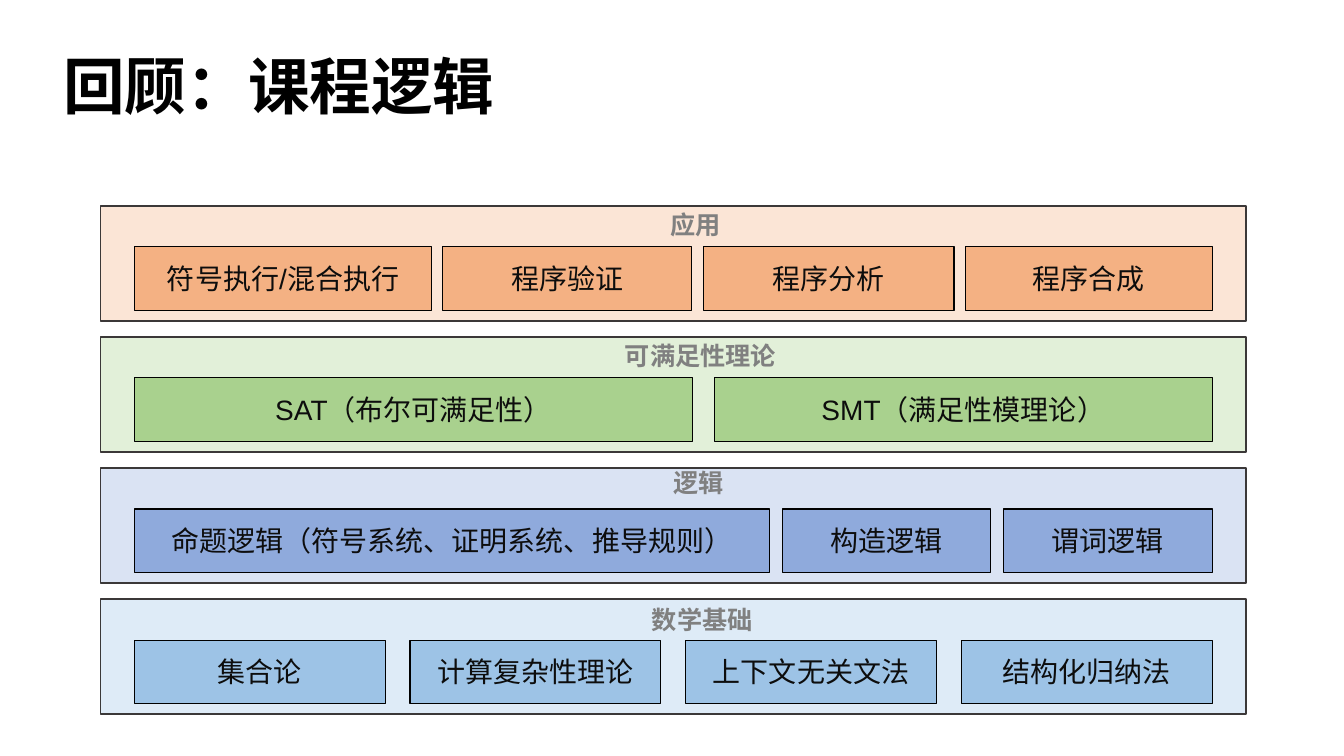
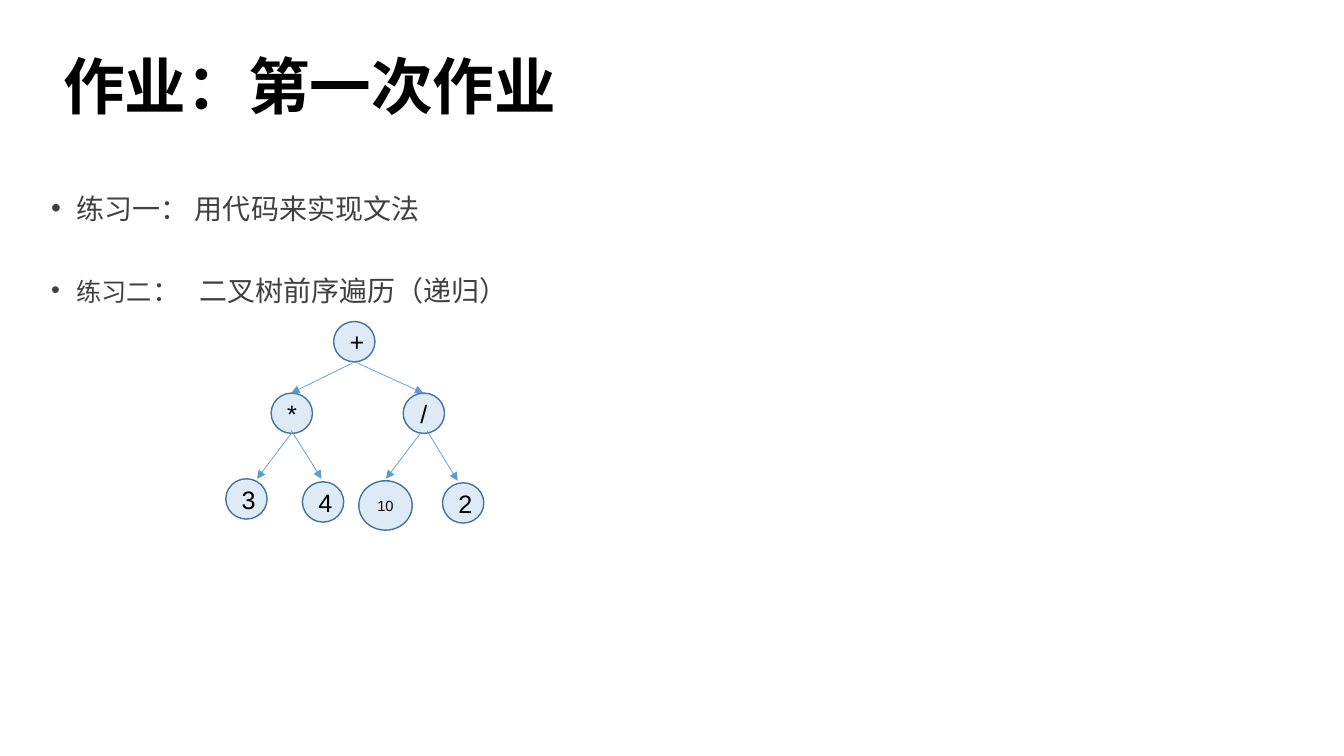
from lxml import etree
from pptx import Presentation
from pptx.dml.color import RGBColor
from pptx.enum import shapes, text
from pptx.oxml import ns
from pptx.util import Emu, Inches, Pt

# The slide is 40 columns wide; rows are as high as columns are wide
SLIDE_WIDTH, SLIDE_HEIGHT = Inches(13.333), Inches(7.5)
CELL = SLIDE_WIDTH / 40

COLORS = {
    "title": "000000", "body": "404040", "box_text": "0D0D0D", "label": "808080",
    "box_line": "000000", "band_line": "3B3838",
    "orange_band": "FBE5D6", "orange_box": "F4B183",
    "green_band": "E2F0D9", "green_box": "A9D18E",
    "indigo_band": "DAE3F3", "indigo_box": "8FAADC",
    "blue_band": "DEEBF7", "blue_box": "9DC3E6",
    "node_line": "43739E", "node_text": "000000", "edge": "5B9BD5",
}

# Font formats: name, size, weight and colour
FORMATS = {
    "title": {"name": "Montserrat", "size": Pt(44), "bold": True, "color": "title"},
    "label": {"name": "Arial", "size": Pt(18), "bold": True, "color": "label"},
    "box": {"name": "Arial", "size": Pt(20), "color": "box_text"},
    "node": {"name": "Arial", "size": Pt(18), "color": "node_text"},
    "small_node": {"name": "Arial", "size": Pt(10.5), "color": "node_text"},
    "exercise": {"name": "Noto Sans CJK SC", "size": Pt(20), "color": "body"},
    "exercise_small": {"name": "Arial", "size": Pt(18), "color": "body"},
    "exercise_text": {"name": "Arial", "size": Pt(20), "color": "body"},
}

# Layer diagram, in cells
BAND_LEFT, BAND_TOP, BAND_WIDTH, BAND_HEIGHT, BAND_PITCH = 3, 6.13, 34.08, 3.42, 3.9
BOX_LEFT, BOX_SPAN, BOX_OFFSET, BOX_HEIGHT = 4, 32.08, 1.22, 1.88

# Each layer: tint, label, label left, label shift, label width, boxes with widths
LAYERS = [
    ("orange", "应用", 19.65, -0.04, 5.52,
     [("符号执行/混合执行", 8.85), ("程序验证", 7.41), ("程序分析", 7.47), ("程序合成", 7.35)]),
    ("green", "可满足性理论", 18.3, -0.04, 5.52,
     [("SAT（布尔可满足性）", 16.62), ("SMT（满足性模理论）", 14.82)]),
    ("indigo", "逻辑", 19.74, -0.16, 2.25,
     [("命题逻辑（符号系统、证明系统、推导规则）", 18.9), ("构造逻辑", 6.21), ("谓词逻辑", 6.21)]),
    ("blue", "数学基础", 19.11, 0, 3.87,
     [("集合论", 7.47), ("计算复杂性理论", 7.47), ("上下文无关文法", 7.47), ("结构化归纳法", 7.47)]),
]

# Expression tree, in cells
NODE_SIZE, LARGE_NODE_SIZE = (1.23, 1.2), (1.59, 1.47)
NODES = [
    ("+", 9.93, 9.57), ("*", 8.07, 11.7), ("/", 12, 11.7),
    ("3", 6.72, 14.25), ("4", 9, 14.34), ("2", 13.17, 14.37),
]
EDGES = [
    (10.56, 10.77, 8.67, 11.7), (10.56, 10.77, 12.6, 11.7),
    (8.67, 12.9, 7.65, 14.25), (8.67, 12.81, 9.57, 14.25),
    (12.51, 12.9, 11.49, 14.25), (12.72, 12.84, 13.62, 14.31),
]


def cells(*values):
    return [Emu(round(value * CELL)) for value in values]


def rgb(name):
    return RGBColor.from_string(COLORS[name])


def add_run(paragraph, words, style):
    run = paragraph.add_run()
    run.text = words
    for attribute, value in FORMATS[style].items():
        if attribute == "color":
            run.font.color.rgb = rgb(value)
        else:
            setattr(run.font, attribute, value)


def add_text_box(slide, area):
    frame = slide.shapes.add_textbox(*cells(*area)).text_frame
    frame.word_wrap = True
    return frame


def add_title(slide, words):
    frame = add_text_box(slide, (1.59, 0.5, 34.5, 4.35))
    frame.vertical_anchor = text.MSO_ANCHOR.MIDDLE
    paragraph = frame.paragraphs[0]
    paragraph.line_spacing = 0.9
    add_run(paragraph, words, "title")


def add_panel(slide, kind, area, fill, line, width, words="", style="box"):
    shape = slide.shapes.add_shape(kind, *cells(*area))
    shape.shadow.inherit = False
    shape.fill.solid()
    shape.fill.fore_color.rgb = rgb(fill)
    shape.line.color.rgb = rgb(line)
    shape.line.width = Pt(width)
    if words:
        frame = shape.text_frame
        frame.vertical_anchor = text.MSO_ANCHOR.MIDDLE
        frame.paragraphs[0].alignment = text.PP_ALIGN.CENTER
        add_run(frame.paragraphs[0], words, style)


def add_layer(slide, top, layer):
    tint, label, label_left, label_shift, label_width, boxes = layer
    rectangle = shapes.MSO_SHAPE.RECTANGLE
    add_panel(slide, rectangle, (BAND_LEFT, top, BAND_WIDTH, BAND_HEIGHT),
              tint + "_band", "band_line", 1)
    # Boxes share what is left of the span as equal gaps
    gap = (BOX_SPAN - sum(width for _, width in boxes)) / (len(boxes) - 1)
    left = BOX_LEFT
    for words, width in boxes:
        add_panel(slide, rectangle, (left, top + BOX_OFFSET, width, BOX_HEIGHT),
                  tint + "_box", "box_line", 0.75, words)
        left += width + gap
    frame = add_text_box(slide, (label_left, top + label_shift, label_width, 1.23))
    add_run(frame.paragraphs[0], label, "label")


def add_node(slide, words, left, top, size=NODE_SIZE, style="node"):
    add_panel(slide, shapes.MSO_SHAPE.OVAL, (left, top, *size),
              "blue_band", "node_line", 1, words, style)


def add_arrow(slide, ends):
    arrow = slide.shapes.add_connector(shapes.MSO_CONNECTOR.STRAIGHT, *cells(*ends))
    arrow.line.color.rgb = rgb("edge")
    arrow.line.width = Pt(0.5)
    etree.SubElement(arrow.line._get_or_add_ln(), ns.qn("a:tailEnd"), type="triangle")
    etree.SubElement(arrow._element.spPr, ns.qn("a:effectLst"))


def add_bullet(paragraph, runs, tab=None):
    paragraph.line_spacing = 0.9
    for words, style in runs:
        add_run(paragraph, words, style)
    properties = paragraph._p.get_or_add_pPr()
    properties.set("marL", str(Inches(0.25)))
    properties.set("indent", str(-Inches(0.25)))
    etree.SubElement(properties, ns.qn("a:buFont"), typeface="Arial")
    etree.SubElement(properties, ns.qn("a:buChar"), char="•")
    if tab:
        stops = etree.SubElement(properties, ns.qn("a:tabLst"))
        etree.SubElement(stops, ns.qn("a:tab"), pos=str(cells(tab)[0]), algn="l")


def add_exercises(slide):
    frame = add_text_box(slide, (1.23, 5.65, 34.5, 4))
    first, second = frame.paragraphs[0], frame.add_paragraph()
    first.space_after = Pt(37)
    add_bullet(first, [("练习一： ", "exercise"), ("用代码来实现文法", "exercise_text")])
    add_bullet(second, [("练习二", "exercise_small"),
                        ("：\t二叉树前序遍历（递归）", "exercise_text")], tab=4.4)


def build_review(slide):
    add_title(slide, "回顾：课程逻辑")
    for row, layer in enumerate(LAYERS):
        add_layer(slide, BAND_TOP + row * BAND_PITCH, layer)


def build_homework(slide):
    add_title(slide, "作业：第一次作业")
    add_exercises(slide)
    for node in NODES:
        add_node(slide, *node)
    add_node(slide, "10", 10.68, 14.31, LARGE_NODE_SIZE, "small_node")
    for ends in EDGES:
        add_arrow(slide, ends)


def main():
    presentation = Presentation()
    presentation.slide_width, presentation.slide_height = SLIDE_WIDTH, SLIDE_HEIGHT
    for build in (build_review, build_homework):
        build(presentation.slides.add_slide(presentation.slide_layouts[6]))
    presentation.save("out.pptx")


main()
